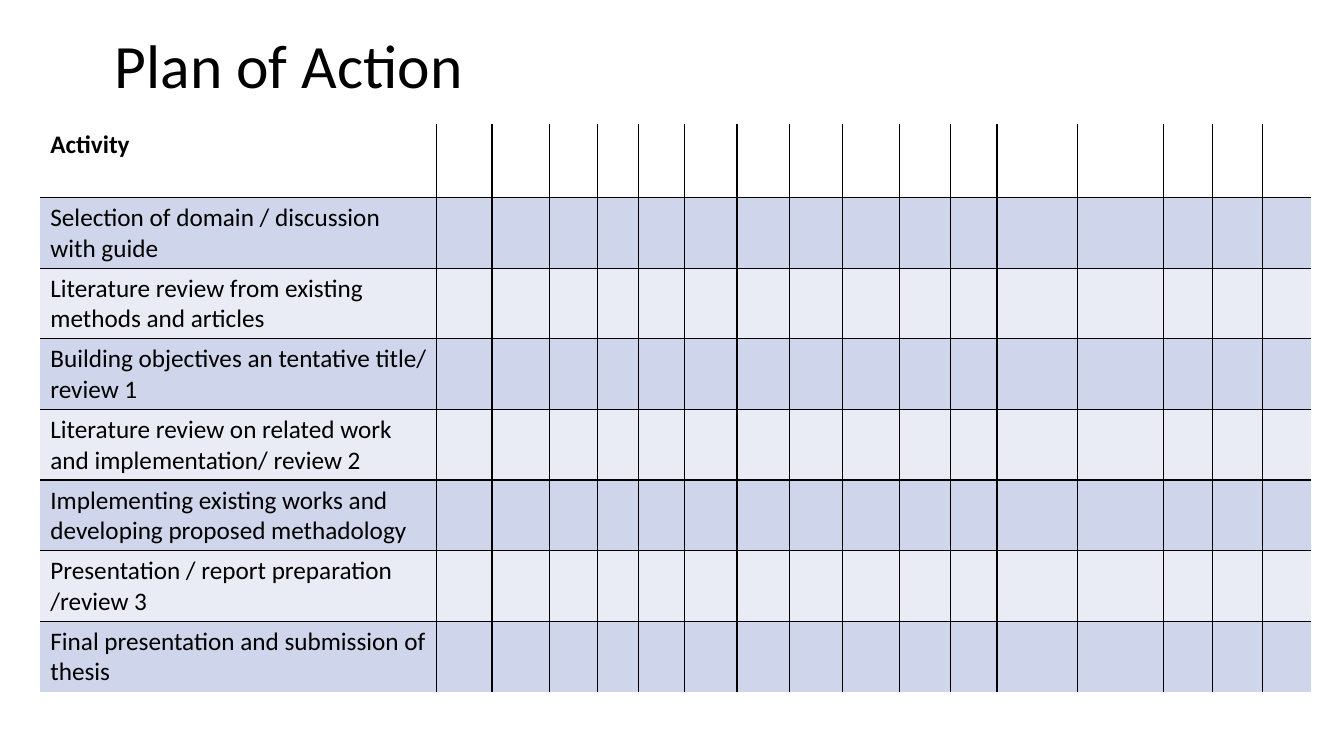
from lxml.etree import SubElement
from pptx import Presentation
from pptx.dml.color import RGBColor
from pptx.enum.text import MSO_ANCHOR
from pptx.oxml.ns import qn
from pptx.util import Inches, Pt

FONT = "Calibri"
BLACK = "000000"
BAND_FILLS = ["CFD5EA", "E9EBF5"]
PLAIN_TABLE_STYLE = "{2D5ABB26-0587-4C30-8999-92F81FD0307C}"

ACTIVITIES = [
    "Selection of domain / discussion with guide",
    "Literature review from existing methods and articles",
    "Building objectives an tentative title/ review 1",
    "Literature review on related work and implementation/ review 2",
    "Implementing existing works and developing proposed methadology",
    "Presentation / report preparation /review 3",
    "Final presentation and submission of thesis",
]
COLUMN_WIDTHS = [3.93, 0.55, 0.57, 0.48, 0.4, 0.46, 0.52, 0.52, 0.53,
                 0.56, 0.51, 0.46, 0.8, 0.85, 0.49, 0.49, 0.49]
HEADER_HEIGHT = 0.73
ACTIVITY_HEIGHT = 0.62


def color(hex_code):
    return RGBColor.from_string(hex_code)


def write(frame, text, size=18, bold=False, line_spacing=None):
    frame.word_wrap = True
    paragraph = frame.paragraphs[0]
    paragraph.line_spacing = line_spacing
    run = paragraph.add_run()
    run.text = text
    run.font.name = FONT
    run.font.size = Pt(size)
    run.font.bold = bold
    run.font.color.rgb = color(BLACK)


def add_title(slide, text):
    title = slide.shapes.add_textbox(Inches(1.04), Inches(0.2), Inches(11.5), Inches(0.95))
    title.text_frame.vertical_anchor = MSO_ANCHOR.MIDDLE
    write(title.text_frame, text, size=44, line_spacing=0.9)


def draw_borders(cell, sides):
    """Draw 1 pt lines on the given sides, named in the order L, R, T, B."""
    properties = cell._tc.get_or_add_tcPr()
    for side in sides:
        line = SubElement(properties, qn(f"a:ln{side}"), w=str(Pt(1)))
        fill = SubElement(line, qn("a:solidFill"))
        SubElement(fill, qn("a:srgbClr"), val=BLACK)


def inner_sides(row, column, last_row, last_column):
    """Sides of a cell that face another cell of the table."""
    faces = {"L": column > 0, "R": column < last_column, "T": row > 0, "B": row < last_row}
    return [side for side, is_inner in faces.items() if is_inner]


def add_schedule(slide):
    row_heights = [HEADER_HEIGHT] + [ACTIVITY_HEIGHT] * len(ACTIVITIES)
    schedule = slide.shapes.add_table(
        len(row_heights), len(COLUMN_WIDTHS),
        Inches(0.4), Inches(1.23), Inches(12.6), Inches(5.63)).table
    schedule.first_row = schedule.horz_banding = False
    schedule._tbl.tblPr.find(qn("a:tableStyleId")).text = PLAIN_TABLE_STYLE
    for column, width in zip(schedule.columns, COLUMN_WIDTHS):
        column.width = Inches(width)
    for row, height in zip(schedule.rows, row_heights):
        row.height = Inches(height)

    last_row, last_column = len(row_heights) - 1, len(COLUMN_WIDTHS) - 1
    for r, row in enumerate(schedule.rows):
        for c, cell in enumerate(row.cells):
            draw_borders(cell, inner_sides(r, c, last_row, last_column))
            if r == 0:
                cell.fill.background()
            else:
                cell.fill.solid()
                cell.fill.fore_color.rgb = color(BAND_FILLS[(r - 1) % 2])

    for r, label in enumerate(["Activity"] + ACTIVITIES):
        write(schedule.cell(r, 0).text_frame, label, bold=r == 0)


def main():
    deck = Presentation()
    deck.slide_width, deck.slide_height = Inches(13.33), Inches(7.5)
    slide = deck.slides.add_slide(deck.slide_layouts[6])
    add_title(slide, "Plan of Action")
    add_schedule(slide)
    deck.save("out.pptx")


if __name__ == "__main__":
    main()
